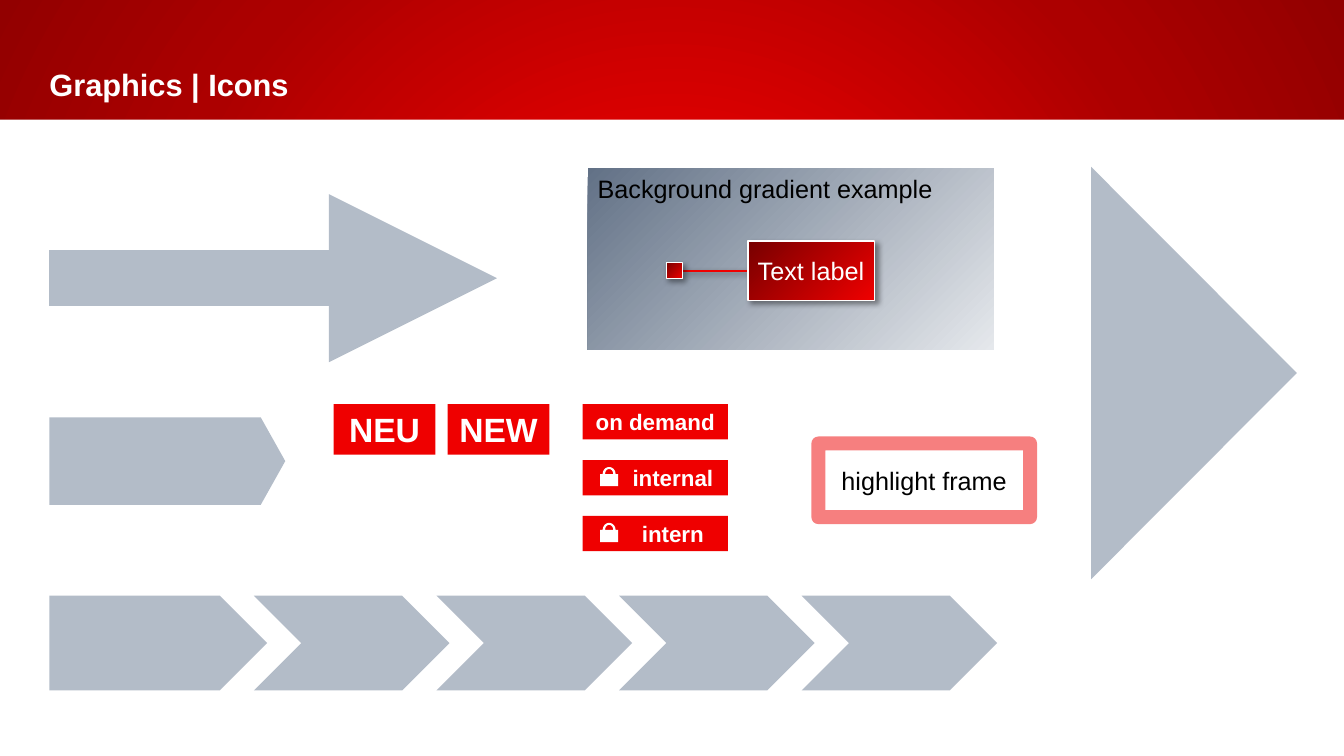
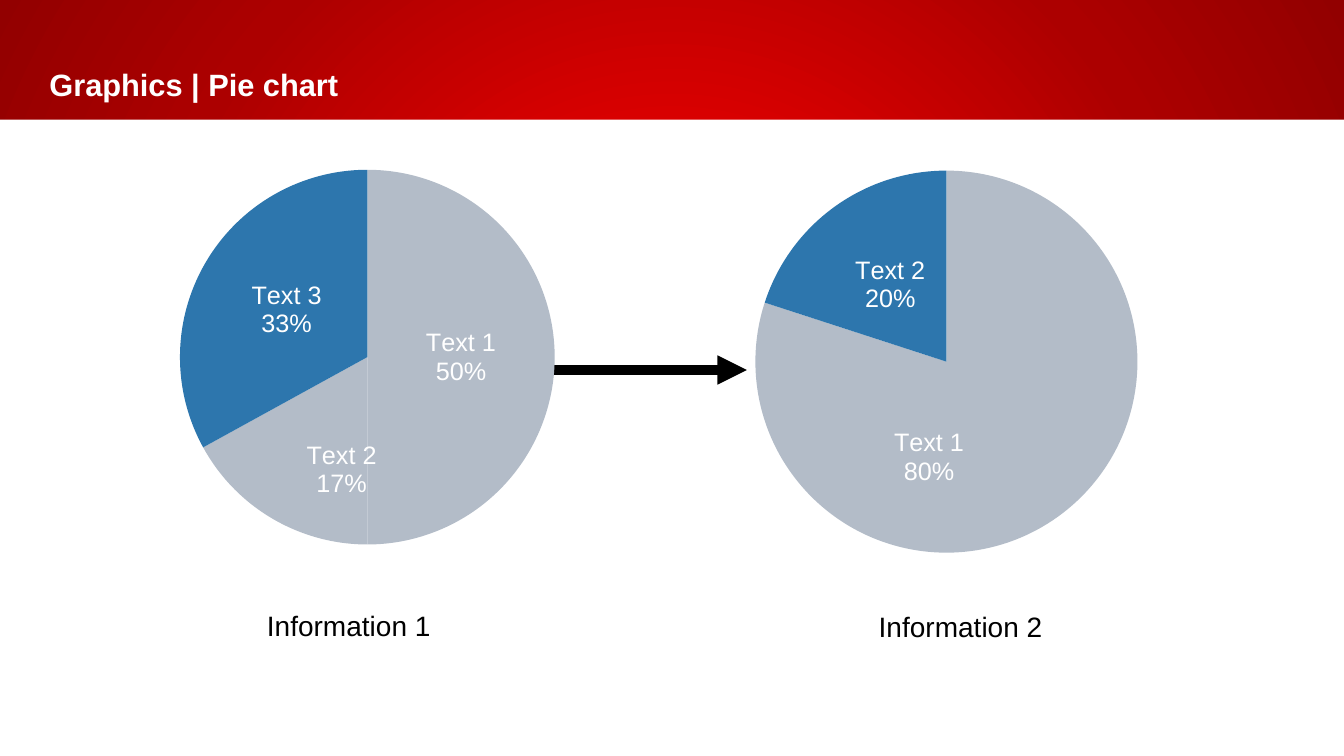
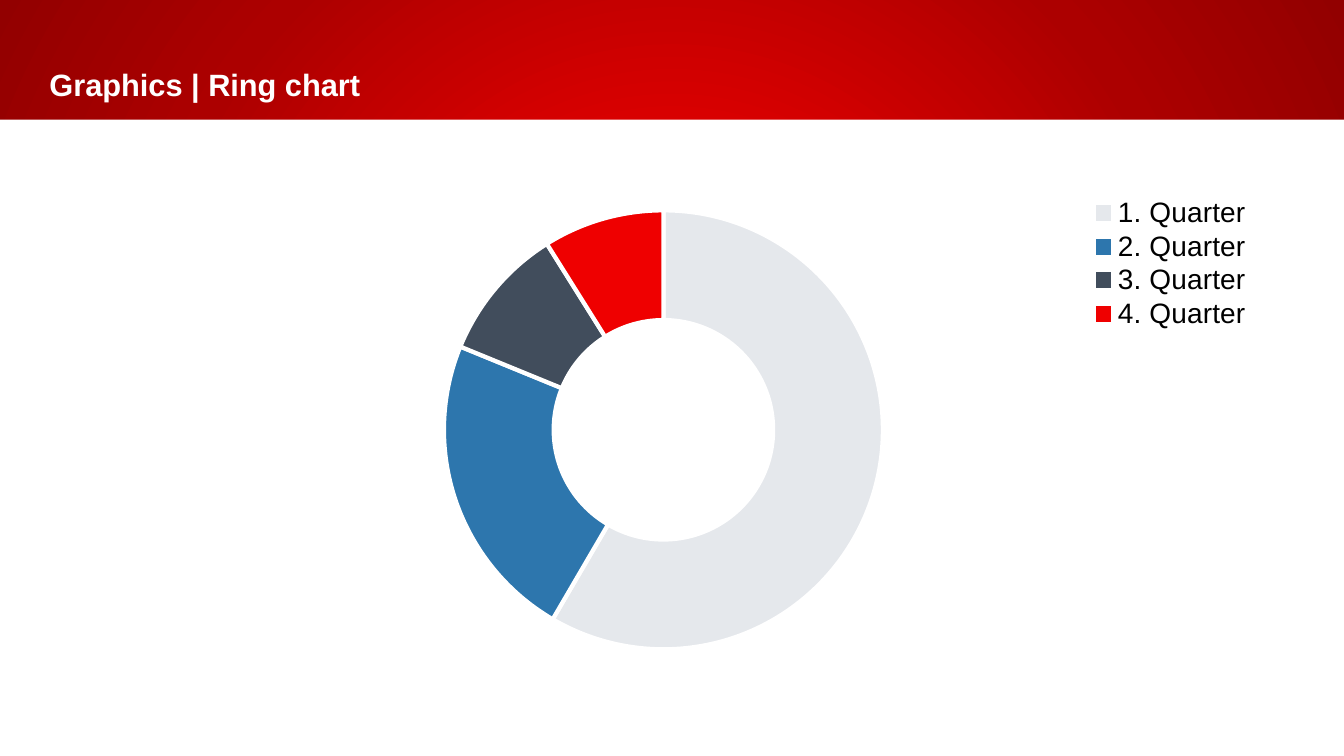
import math
import pptx
import pptx.util
import pptx.oxml
import pptx.oxml.ns
import pptx.chart.data
import pptx.dml.color
import pptx.enum.chart
import pptx.enum.shapes
import pptx.enum.text

Pt = pptx.util.Pt
KIND = pptx.enum.shapes.MSO_SHAPE
ALIGN = pptx.enum.text.PP_ALIGN
ANCHOR = pptx.enum.text.MSO_ANCHOR
CHART = pptx.enum.chart.XL_CHART_TYPE
FONT = "Arial"
COLORS = {
    "red": "EF0000", "deep": "AC0000", "dark": "920000", "wine": "770000",
    "gray": "B3BCC8", "pale": "E5E8EC", "steel": "627186", "slate": "414D5C",
    "blue": "2D76AD", "white": "FFFFFF", "black": "000000",
}
BACK = [(0, "red"), (16, "red"), (69, "deep"), (100, "dark")]
GLOW = [(0, "red"), (100, "wine")]
MIST = [(0, "pale"), (100, "steel")]
CORNER = (100, 100, 0, 0)
CENTER = (50, 50, 50, 50)
INSET = (7.2, 3.6, 7.2, 3.6)


def rgb(name):
    return pptx.dml.color.RGBColor.from_string(COLORS[name])


def xml(text):
    spaces = pptx.oxml.ns.nsdecls("a", "c")
    head, tail = text.split(">", 1)
    if head.endswith("/"):
        return pptx.oxml.parse_xml(f"{head[:-1]} {spaces}/>{tail}")
    return pptx.oxml.parse_xml(f"{head} {spaces}>{tail}")


def blend(fill, root, stops, focus):
    fill.gradient()
    node = root.xpath(".//a:gradFill")[0]
    for child in list(node):
        node.remove(child)
    marks = "".join(f'<a:gs pos="{at * 1000}"><a:srgbClr val="{COLORS[name]}"/></a:gs>'
                    for at, name in stops)
    node.append(xml(f"<a:gsLst>{marks}</a:gsLst>"))
    sides = " ".join(f'{side}="{part * 1000}"' for side, part in zip("ltrb", focus))
    node.append(xml(f'<a:path path="circle"><a:fillToRect {sides}/></a:path>'))


def cast(props):
    for old in props.xpath("a:effectLst"):
        props.remove(old)
    props.append(xml('<a:effectLst><a:outerShdw blurRad="50800" dist="38100" dir="2700000" '
                     'algn="tl" rotWithShape="0"><a:srgbClr val="000000">'
                     '<a:alpha val="40000"/></a:srgbClr></a:outerShdw></a:effectLst>'))


def paint(shape, color):
    shape.shadow.inherit = False
    shape.line.fill.background()
    if color:
        shape.fill.solid()
        shape.fill.fore_color.rgb = rgb(color)
    else:
        shape.fill.background()


def form(slide, kind, box, color=None, adj=None):
    shape = slide.shapes.add_shape(kind, *map(Pt, box))
    paint(shape, color)
    if adj is not None:
        shape.adjustments[0] = adj
    return shape


def write(shape, text, size, color="black", bold=False, align=ALIGN.LEFT,
          anchor=ANCHOR.TOP, inset=INSET, wrap=True):
    frame = shape.text_frame
    frame.word_wrap = wrap
    frame.vertical_anchor = anchor
    frame.margin_left, frame.margin_top, frame.margin_right, frame.margin_bottom = map(Pt, inset)
    para = frame.paragraphs[0]
    para.alignment = align
    run = para.add_run()
    run.text = text
    run.font.name = FONT
    run.font.size = Pt(size)
    run.font.bold = bold
    run.font.color.rgb = rgb(color)


def note(slide, box, text, size, **style):
    write(slide.shapes.add_textbox(*map(Pt, box)), text, size, **style)


def link(slide, start, end, color, width, head=False):
    line = slide.shapes.add_connector(pptx.enum.shapes.MSO_CONNECTOR.STRAIGHT,
                                      *map(Pt, start + end))
    line.line.color.rgb = rgb(color)
    line.line.width = Pt(width)
    props = line._element.spPr
    if head:
        props.xpath("a:ln")[0].append(xml('<a:tailEnd type="triangle"/>'))
    props.append(xml("<a:effectLst/>"))
    return line


def page(deck, title):
    slide = deck.slides.add_slide(deck.slide_layouts[6])
    blend(slide.background.fill, slide._element, BACK, CENTER)
    form(slide, KIND.RECTANGLE, (0, 85.5, 960, 454.5), "white")
    note(slide, (0, 35.3, 798.5, 49.7), title, 22, color="white", bold=True,
         anchor=ANCHOR.BOTTOM, inset=(35.3, 11.5, 7.2, 11.5))
    return slide


def panel(slide, left, top):
    field = form(slide, KIND.RECTANGLE, (left, top, 290.2, 129.6))
    blend(field.fill, field._element, MIST, CORNER)
    write(field, "Background gradient example", 18)

    def chip(box):
        shape = form(slide, KIND.RECTANGLE, box)
        blend(shape.fill, shape._element, GLOW, CORNER)
        shape.line.color.rgb = rgb("white")
        shape.line.width = Pt(1)
        cast(shape._element.spPr)
        return shape

    wire = link(slide, (left + 114.4, top + 73.1), (left + 67.6, top + 73.1), "red", 1.5)
    cast(wire._element.spPr)
    label = chip((left + 114.4, top + 51.9, 90.7, 42.4))
    write(label, "Text label", 18, "white", anchor=ANCHOR.MIDDLE)
    dot = chip((left + 56.1, top + 67.35, 11.5, 11.5))
    wire.begin_connect(label, 1)
    wire.end_connect(dot, 3)


def lock(slide, left, top):
    def arc(wide, high, turn):
        steps = [math.pi * i / 16 for i in range(17)]
        return [(Pt(left + 6.5 - turn * wide * math.cos(a)), Pt(top + 5 - high * math.sin(a)))
                for a in steps]

    def spot(x, y):
        return Pt(left + x), Pt(top + y)

    path = slide.shapes.build_freeform(*spot(0, 5), scale=1.0)
    path.add_line_segments(arc(4.6, 5, 1) + [spot(13, 5), spot(13, 13.7), spot(0, 13.7)])
    hole = arc(2.9, 3.6, -1)
    path.move_to(*hole[0])
    path.add_line_segments(hole[1:])
    paint(path.convert_to_shape(), "white")


def tags(slide, left, top):
    for i, (text, locked) in enumerate([("on demand", False), ("internal", True), ("intern", True)]):
        y = top + 39.9 * i
        tag = form(slide, KIND.RECTANGLE, (left, y, 103.7, 25.2), "red")
        write(tag, text, 16, "white", True, ALIGN.CENTER, ANCHOR.MIDDLE,
              (28.1 if locked else 2.9, 2.9, 2.9, 2.9), False)
        if locked:
            lock(slide, left + 12.4, y + 5)


def badges(slide, left, top):
    for i, text in enumerate(["NEU", "NEW"]):
        badge = form(slide, KIND.RECTANGLE, (left + 81.4 * i, top, 72.7, 36), "red")
        write(badge, text, 24, "white", True, ALIGN.CENTER, ANCHOR.MIDDLE)


def steps(slide, left, top):
    form(slide, KIND.PENTAGON, (left, top, 155.5, 67.7), "gray")
    for i in range(4):
        form(slide, KIND.CHEVRON, (left + 146.1 + 130.4 * i, top, 139.7, 67.7), "gray")


def frame(slide, left, top):
    edge = form(slide, KIND.RECTANGLE, (left, top, 151.2, 52.6))
    edge.line.color.rgb = rgb("red")
    edge.line.width = Pt(10)
    edge._element.xpath(".//a:ln//a:srgbClr")[0].append(xml('<a:alpha val="50000"/>'))
    note(slide, (left + 9.4, top + 12.2, 133.9, 28.8), "highlight frame", 18)


def place(node, index, box, inner=False):
    for old in node.xpath("c:layout"):
        node.remove(old)
    target = '<c:layoutTarget val="inner"/>' if inner else ""
    modes = "".join(f'<c:{side}Mode val="edge"/>' for side in "xy")
    sizes = "".join(f'<c:{side} val="{part}"/>' for side, part in zip("xywh", box))
    node.insert(index, xml(f"<c:layout><c:manualLayout>{target}{modes}{sizes}"
                           "</c:manualLayout></c:layout>"))


def graph(slide, kind, box, cats, vals, colors, plot):
    data = pptx.chart.data.CategoryChartData()
    data.categories = cats
    data.add_series("Series 1", vals)
    chart = slide.shapes.add_chart(kind, *map(Pt, box), data).chart
    chart.has_title = False
    chart.has_legend = False
    chart.font.name = FONT
    chart.font.size = Pt(18)
    chart.font.color.rgb = rgb("black")
    chart.plots[0].vary_by_categories = True
    chart.plots[0].has_data_labels = False
    root = chart._chartSpace
    root.xpath("c:chart")[0].addnext(
        xml("<c:spPr><a:noFill/><a:ln><a:noFill/></a:ln></c:spPr>"))
    place(root.xpath(".//c:plotArea")[0], 0, plot, True)
    for i, color in enumerate(colors):
        fill = chart.plots[0].series[0].points[i].format.fill
        fill.solid()
        fill.fore_color.rgb = rgb(color)
    return chart


def pie(slide, left, top, vals, colors, plot, moved, shift):
    cats = [f"Text {i + 1}" for i in range(len(vals))]
    chart = graph(slide, CHART.PIE, (left, top, 524.9, 322.6), cats, vals, colors, plot)
    row = chart.plots[0].series[0]
    for label in (row.data_labels, row.points[moved].data_label):
        label.font.name = FONT
        label.font.size = Pt(18)
        label.font.color.rgb = rgb("white")
        label.position = pptx.enum.chart.XL_LABEL_POSITION.CENTER
    root = chart._chartSpace
    for node in root.xpath(".//c:ser/c:dLbls | .//c:ser/c:dLbls/c:dLbl"):
        for key, on in (("Val", 0), ("CatName", 1), ("Percent", 1)):
            node.xpath(f"c:show{key}")[0].set("val", str(on))
        mark = (node.xpath("c:showBubbleSize") or node.xpath("c:showPercent"))[0]
        mark.addnext(xml("<c:separator>\n</c:separator>"))
    root.xpath(".//c:dLbl/c:idx")[0].addnext(
        xml(f'<c:layout><c:manualLayout><c:x val="{shift[0]}"/><c:y val="{shift[1]}"/>'
            "</c:manualLayout></c:layout>"))


def ring(slide, left, top):
    chart = graph(slide, CHART.DOUGHNUT, (left, top, 746.6, 334.8),
                  [f"{i}. Quarter" for i in range(1, 5)], [59, 23, 10, 9],
                  ["pale", "blue", "slate", "red"], (0.2, 0.03, 0.42, 0.94))
    for i in range(4):
        line = chart.plots[0].series[0].points[i].format.line
        line.color.rgb = rgb("white")
        line.width = Pt(3)
    chart.has_legend = True
    key = chart.legend
    key.position = pptx.enum.chart.XL_LEGEND_POSITION.RIGHT
    key.include_in_layout = False
    key.font.name = FONT
    key.font.size = Pt(20)
    key.font.color.rgb = rgb("black")
    place(chart._chartSpace.xpath(".//c:legend")[0], 1, (0.81, 0, 0.17, 0.29))


def icons(deck):
    slide = page(deck, "Graphics | Icons")
    link(slide, (35.3, 198.7), (355, 198.7), "gray", 40, True)
    form(slide, KIND.ISOSCELES_TRIANGLE, (705.6, 193, 294.5, 146.9), "gray").rotation = 90
    form(slide, KIND.PENTAGON, (35.3, 298.1, 168.5, 62.6), "gray", 0.28)
    frame(slide, 584.6, 316.8)
    panel(slide, 419.8, 120.2)
    steps(slide, 35.3, 425.5)
    badges(slide, 238.3, 288.7)
    tags(slide, 416.2, 288.7)


def pies(deck):
    slide = page(deck, "Graphics | Pie chart")
    pie(slide, 424.1, 111.6, [80, 20], ["gray", "blue"],
        (0.22, 0.03, 0.52, 0.85), 0, (-0.1, 0.04))
    link(slide, (385.2, 264.3), (533.5, 264.3), "black", 7, True)
    note(slide, (620.6, 432, 162, 32.4), "Information 2", 20)
    note(slide, (183.6, 431.3, 157.7, 37.4), "Information 1", 20, wrap=False)
    pie(slide, -7.9, 111.6, [50, 17, 33], ["gray", "gray", "blue"],
        (0.26, 0.03, 0.51, 0.83), 1, (0.03, 0.07))


def main():
    deck = pptx.Presentation()
    deck.slide_width, deck.slide_height = Pt(960), Pt(540)
    icons(deck)
    pies(deck)
    ring(page(deck, "Graphics | Ring chart"), 167.8, 139.7)
    deck.save("out.pptx")


if __name__ == "__main__":
    main()
